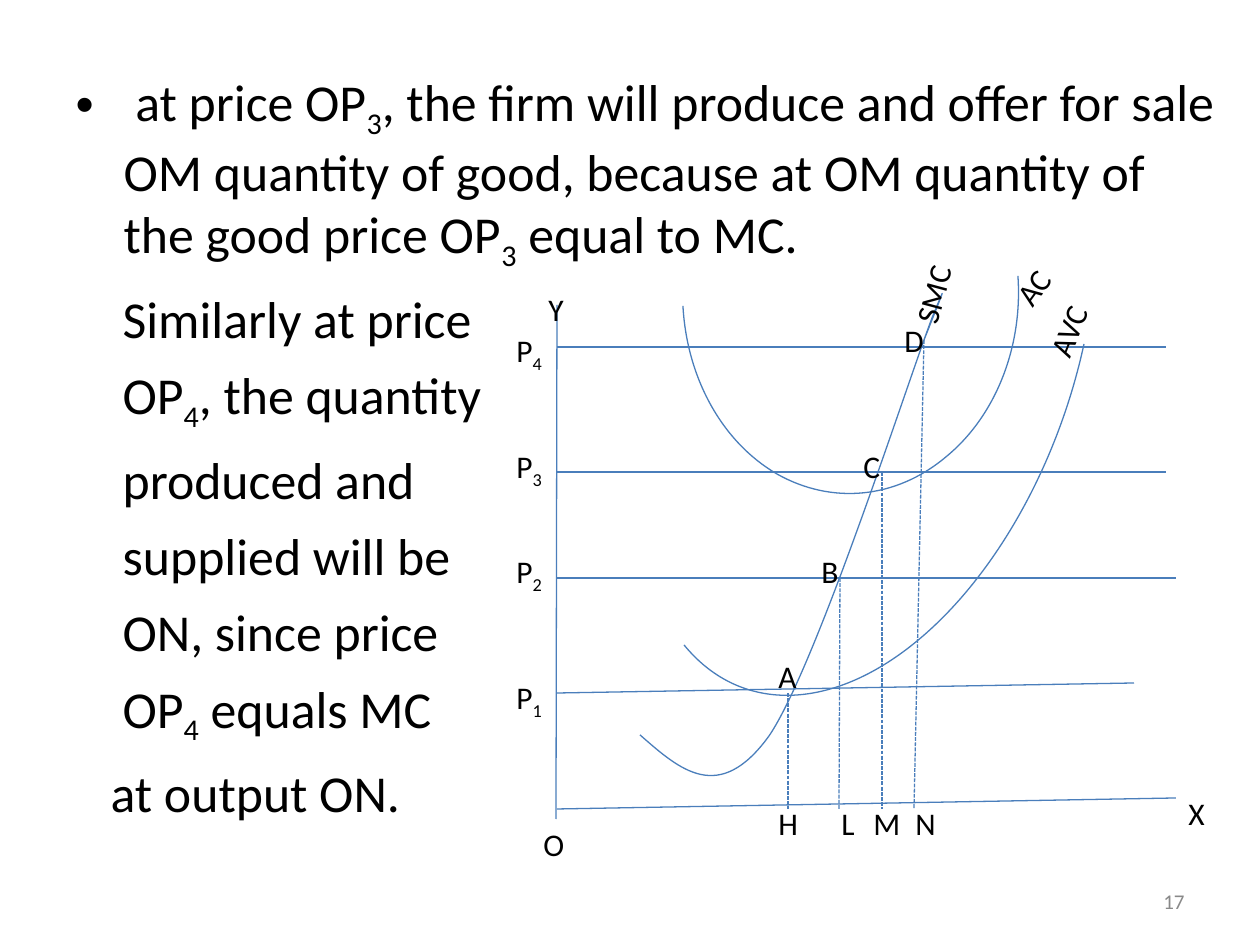
import dataclasses

import pptx
import pptx.dml.color
import pptx.enum.dml
import pptx.enum.shapes
import pptx.enum.text
import pptx.oxml
import pptx.oxml.ns
import pptx.util

EMU_PER_PX = 914400 / 126
ALIGN = pptx.enum.text.PP_ALIGN


@dataclasses.dataclass(frozen=True)
class Theme:
    font: str = "Calibri"
    ink: str = "000000"
    muted: str = "898989"
    line: str = "4A7EBB"
    body_size: float = 29.6
    label_size: int = 18
    number_size: int = 12
    line_width: float = 0.75
    para_gap: int = 8


THEME = Theme()

# text, left margin in px, bulleted
BODY = [
    (" at price OP_3, the firm will produce and offer for sale OM quantity of good, "
     "because at OM quantity of the good price OP_3 equal to MC.", 48, True),
    ("Similarly at price", 47, False),
    ("OP_4, the quantity", 47, False),
    ("produced and", 47, False),
    ("supplied will be", 47, False),
    ("ON, since price", 47, False),
    ("OP_4 equals MC", 47, False),
    ("at output ON.", 35, False),
]

# x1, y1, x2, y2 within the diagram
AXES = [(53, 53, 52, 567), (53, 557, 672, 546)]
PRICE_LINES = [(53, 326, 672, 326), (53, 220, 662, 220),
               (53, 95, 662, 95), (630, 431, 53, 441)]
DROP_LINES = [(284, 441, 284, 557), (336, 326, 335, 557),
              (378, 220, 378, 557), (420, 88, 410, 557)]

# start point, then three Bezier points for each segment
AVC = [(580, 92), (553, 217), (486, 334), (403, 397),
       (320, 460), (234, 459), (180, 393)]
AC = [(514, 24), (519, 96), (491, 165), (442, 205), (392, 247), (328, 253),
      (273, 222), (218, 190), (183, 126), (179, 54)]
SMC = [(136, 483), (176, 518), (215, 553), (265, 484), (312, 415), (403, 132),
       (428, 66), (455, 0), (420, 88), (420, 88)]

# text, left, top, width, rotation
LABELS = [
    ("SMC", 378, 6, 107, 285), ("AC", 496, 5, 73, 306), ("AVC", 525, 53, 78, 292),
    ("P_4", 0, 73, 84, 0), ("P_3", 0, 189, 73, 0),
    ("P_2", 0, 294, 73, 0), ("P_1", 0, 420, 73, 0),
    ("A", 262, 399, 47, 0), ("B", 305, 294, 63, 0),
    ("C", 347, 189, 47, 0), ("D", 388, 63, 47, 0),
    ("O", 27, 567, 32, 0), ("H", 262, 546, 32, 0), ("L", 325, 546, 42, 0),
    ("M", 357, 546, 32, 0), ("N", 399, 546, 32, 0),
    ("Y", 32, 32, 35, 0), ("X", 672, 536, 35, 0),
]


def px(n):
    return pptx.util.Emu(round(n * EMU_PER_PX))


def rgb(color):
    return pptx.dml.color.RGBColor.from_string(color)


def write(p, text, size=THEME.label_size, color=THEME.ink, align=ALIGN.LEFT):
    """Fill a paragraph; an underscore makes the next character a subscript."""
    p.alignment = align
    head, *rest = text.split("_")
    pieces = [(head, False)]
    for part in rest:
        pieces += [(part[0], True), (part[1:], False)]
    for piece, lowered in pieces:
        if not piece:
            continue
        r = p.add_run()
        r.text = piece
        r.font.name = THEME.font
        r.font.size = pptx.util.Pt(size)
        r.font.color.rgb = rgb(color)
        if lowered:
            r.font._element.set("baseline", "-25000")


def add_label(s, text, left, top, width, height, rotation=0, **fmt):
    sp = s.shapes.add_textbox(px(left), px(top), px(width), px(height))
    sp.rotation = rotation
    sp.text_frame.word_wrap = True
    write(sp.text_frame.paragraphs[0], text, **fmt)
    return sp


def style_line(line):
    line.color.rgb = rgb(THEME.line)
    line.width = pptx.util.Pt(THEME.line_width)


def add_line(s, x1, y1, x2, y2, dashed=False):
    c = s.shapes.add_connector(pptx.enum.shapes.MSO_CONNECTOR.STRAIGHT,
                               px(x1), px(y1), px(x2), px(y2))
    style_line(c.line)
    if dashed:
        c.line.dash_style = pptx.enum.dml.MSO_LINE.SQUARE_DOT
    c._element.spPr.append(pptx.oxml.parse_xml(
        "<a:effectLst %s/>" % pptx.oxml.ns.nsdecls("a")))


def add_curve(s, left, top, points):
    """Draw a freeform whose points are joined by cubic Bezier segments."""
    builder = s.shapes.build_freeform(*points[0], scale=EMU_PER_PX)
    builder.add_line_segments(points[1:], close=False)
    sp = builder.convert_to_shape(px(left), px(top))
    qn = pptx.oxml.ns.qn
    outline = sp._element.find(".//" + qn("a:path"))
    steps = outline.findall(qn("a:lnTo"))
    for i in range(0, len(steps), 3):
        bezier = outline.makeelement(qn("a:cubicBezTo"), {})
        outline.append(bezier)
        for step in steps[i:i + 3]:
            bezier.append(step[0])
            outline.remove(step)
    sp.fill.background()
    sp.shadow.inherit = False
    style_line(sp.line)


def fill_body(s, left, top, width, height):
    sp = s.placeholders[1]
    sp.left, sp.top, sp.width, sp.height = map(px, (left, top, width, height))
    tf = sp.text_frame
    tf.word_wrap = True
    tf.auto_size = pptx.enum.text.MSO_AUTO_SIZE.NONE
    tf.margin_right = px(5)
    for i, (text, margin, bulleted) in enumerate(BODY):
        p = tf.add_paragraph() if i else tf.paragraphs[0]
        p.space_before = pptx.util.Pt(THEME.para_gap if i else 0)
        pPr = p._p.get_or_add_pPr()
        pPr.set("marL", str(px(margin)))
        pPr.set("indent", str(-px(margin) if bulleted else 0))
        if not bulleted:
            pPr.append(pptx.oxml.parse_xml(
                "<a:buNone %s/>" % pptx.oxml.ns.nsdecls("a")))
        write(p, text, size=THEME.body_size)


def draw_cost_curves(s, left, top):
    for lines, dashed in ((AXES + PRICE_LINES, False), (DROP_LINES, True)):
        for x1, y1, x2, y2 in lines:
            add_line(s, left + x1, top + y1, left + x2, top + y2, dashed)
    for points in (AVC, AC, SMC):
        add_curve(s, left, top, points)
    for text, x, y, width, rotation in LABELS:
        add_label(s, text, left + x, top + y, width, 55 if "_" in text else 50, rotation)


def add_slide_number(s, left, top, width, height):
    sp = add_label(s, "17", left, top, width, height, size=THEME.number_size,
                   color=THEME.muted, align=ALIGN.RIGHT)
    sp.text_frame.vertical_anchor = pptx.enum.text.MSO_ANCHOR.MIDDLE


def main():
    prs = pptx.Presentation()
    prs.slide_width, prs.slide_height = px(1260), px(945)
    s = prs.slides.add_slide(prs.slide_layouts[1])
    title = s.shapes.title._element
    title.getparent().remove(title)
    fill_body(s, 63, 63, 1166, 809)
    add_slide_number(s, 903, 876, 294, 50)
    draw_cost_curves(s, 504, 252)
    prs.save("out.pptx")


if __name__ == "__main__":
    main()
